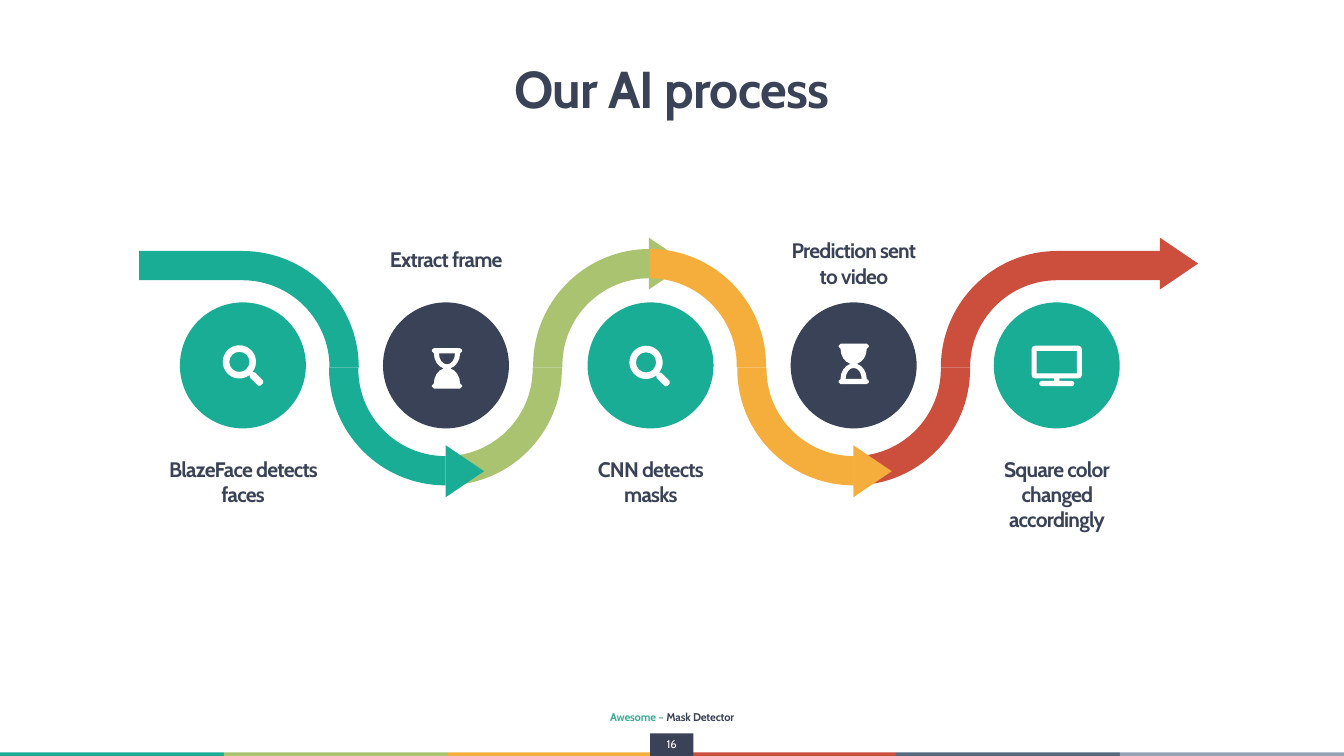
import math

from pptx import Presentation
from pptx import util as u
from pptx.dml.color import RGBColor
from pptx.enum import shapes, text
from pptx.oxml import ns

TEAL = RGBColor(0x1A, 0xAD, 0x96)
FOOTER_TEAL = RGBColor(0x38, 0xAD, 0x96)
GREEN = RGBColor(0xA9, 0xC3, 0x70)
ORANGE = RGBColor(0xF5, 0xAE, 0x3B)
RED = RGBColor(0xCC, 0x4E, 0x3D)
SLATE = RGBColor(0x56, 0x68, 0x7C)
GREY = RGBColor(0x94, 0xA4, 0xB5)
NAVY = RGBColor(0x39, 0x42, 0x56)
WHITE = RGBColor(0xFF, 0xFF, 0xFF)

PX = 9144
WIDTH, HEIGHT = 2667, 1500
OUTER, INNER = 231, 173
MIDDLE = 729
SHAPE = shapes.MSO_SHAPE


def px(*lengths):
    return [u.Emu(round(length * PX)) for length in lengths]


def paint(shape, color):
    shape.shadow.inherit = False
    shape.fill.solid()
    shape.fill.fore_color.rgb = color
    shape.line.fill.background()
    return shape


def add_preset(slide, kind, box, color):
    return paint(slide.shapes.add_shape(kind, *px(*box)), color)


def write(holder, paragraphs, size, color=NAVY, bold=True, spacing=-110,
          inset=8, line_spacing=None):
    frame = holder.text_frame
    frame.word_wrap = True
    frame.auto_size = text.MSO_AUTO_SIZE.NONE
    frame.vertical_anchor = text.MSO_ANCHOR.TOP
    frame.margin_left, frame.margin_top, frame.margin_right, frame.margin_bottom = px(*[inset] * 4)
    for index, runs in enumerate(paragraphs):
        paragraph = frame.add_paragraph() if index else frame.paragraphs[0]
        paragraph.alignment = text.PP_ALIGN.CENTER
        if line_spacing:
            paragraph.line_spacing = line_spacing
        for words, run_color in runs:
            run = paragraph.add_run()
            run.text = words
            run.font.name = "Cabin"
            run.font.size = u.Pt(size)
            run.font.bold = bold
            run.font.color.rgb = run_color or color
            run.font._element.set("spc", str(spacing))


def add_text(slide, box, paragraphs, **style):
    write(slide.shapes.add_textbox(*px(*box)), paragraphs, **style)


def arc(cx, cy, rx, ry, start, end):
    pieces = math.ceil(abs(end - start) / 90)
    turn = math.radians(end - start) / pieces
    pull = 4 / 3 * math.tan(turn / 4)

    def on_arc(angle, offset=0):
        return (cx + rx * (math.cos(angle) - offset * math.sin(angle)),
                cy + ry * (math.sin(angle) + offset * math.cos(angle)))

    angle = math.radians(start)
    points = [on_arc(angle)]
    for _ in range(pieces):
        points += [(*on_arc(angle, pull), True), (*on_arc(angle + turn, -pull), True),
                   on_arc(angle + turn)]
        angle += turn
    return points


def mirrored(right_half):
    return right_half + [(-x, y, *control) for x, y, *control in reversed(right_half)]


def bend_curves(shape, controls):
    lines = list(shape._element.spPr.iter(ns.qn("a:lnTo")))
    index = 0
    while index < len(lines):
        if controls[index]:
            first, *others = lines[index:index + 3]
            first.tag = ns.qn("a:cubicBezTo")
            for other in others:
                first.append(other[0])
                other.getparent().remove(other)
            index += 3
        else:
            index += 1


def add_outline(slide, contours, color, center=(0, 0), flip=1):
    placed = [[px(center[0] + x, center[1] + flip * y) for x, y, *_ in contour]
              for contour in contours]
    builder = slide.shapes.build_freeform(*placed[0][0], scale=1.0)
    for index, contour in enumerate(placed):
        if index:
            builder.move_to(*contour[0])
        builder.add_line_segments(contour[1:], close=True)
    shape = paint(builder.convert_to_shape(), color)
    bend_curves(shape, [len(point) == 3 for contour in contours for point in contour[1:]])


def add_bend(slide, color, cx, cy, side, rise, tail_end=None):
    def curve(radius):
        quarter = [(cx + side * x, cy + rise * y, *control)
                   for x, y, *control in arc(0, 0, radius, radius, 0, 90)]
        return [(cx + side * radius, MIDDLE)] + quarter

    tail = [(tail_end, cy + rise * r) for r in (OUTER, INNER)] if tail_end else []
    add_outline(slide, [curve(OUTER) + tail + curve(INNER)[::-1]], color)


def add_ribbon(slide, color, bends, tip_x, tip_y):
    for bend in bends:
        add_bend(slide, color, *bend)
    head = add_preset(slide, SHAPE.ISOSCELES_TRIANGLE,
                      (tip_x - 90, tip_y - 38, 103, 76), color)
    head.rotation = 90


def add_magnifier(slide, center):
    handle = [(31, 21), (47, 37), (47, 42), (42, 47), (37, 47), (21, 31)]
    add_outline(slide, [arc(0, 0, 33, 33, 52, 398) + handle, arc(0, 0, 20, 20, 0, 360)],
                WHITE, center)


def add_hourglass(slide, center, flip):
    right = ([(26, -40), (30, -36), (30, -34)]
             + arc(0, -30, 26, 31, 0, 75) + arc(0, 30, 26, 31, -75, 0)
             + [(30, 34), (30, 37), (26, 40)])
    add_outline(slide, [mirrored(right), arc(0, 30, 16, 22, 180, 360)], WHITE, center, flip)


def add_monitor(slide, center):
    right = (arc(43, -33, 7, 7, -90, 0) + arc(43, 18, 7, 7, 0, 90)
             + [(5, 25), (5, 30)] + arc(30, 35, 5, 5, -90, 90))
    add_outline(slide, [mirrored(right), mirrored([(40, -30), (40, 15)])], WHITE, center)


def add_step(slide, center, color, label_top, label_height, lines):
    add_preset(slide, SHAPE.OVAL, (center - 125, 600, 250, 250), color)
    add_text(slide, (center - 162, label_top, 325, label_height),
             [[(line, None)] for line in lines], size=30)


def add_footer(slide):
    add_text(slide, (84, 1402, 2500, 32),
             [[("Awesome – ", FOOTER_TEAL), ("Mask Detector", NAVY)]],
             size=16, spacing=-20, inset=0, line_spacing=1.3)
    stripes = [TEAL, GREEN, ORANGE, RED, SLATE, GREY]
    stripe_width = WIDTH / len(stripes)
    for index, color in enumerate(stripes):
        add_preset(slide, SHAPE.RECTANGLE, (index * stripe_width, 1493, stripe_width, 7), color)
    add_preset(slide, SHAPE.RECTANGLE, (1290, 1455, 86, 45), NAVY)
    add_text(slide, (1290, 1455, 86, 43), [[("16", None)]],
             size=16, color=WHITE, bold=False, spacing=-20)


def main():
    deck = Presentation()
    deck.slide_width, deck.slide_height = px(WIDTH, HEIGHT)
    slide = deck.slides.add_slide(deck.slide_layouts[5])

    title = slide.shapes.title
    title.left, title.top, title.width, title.height = px(321, 96, 2024, 125)
    write(title, [[("Our AI process", None)]], size=74, inset=0, line_spacing=1.14)
    add_footer(slide)

    add_ribbon(slide, GREEN, [(1289, 725, -1, -1), (884, 732, 1, 1)], 1364, 523)
    add_ribbon(slide, TEAL, [(884, 732, -1, 1), (481, 729, 1, -1, 276)], 961, 935)
    add_ribbon(slide, RED, [(1694, 732, 1, 1), (2098, 729, -1, -1, 2302)], 2378, 523)
    add_ribbon(slide, ORANGE, [(1289, 725, 1, -1), (1694, 732, -1, 1)], 1770, 935)

    steps = [
        (482, TEAL, 898, 117, ["BlazeFace detects faces"]),
        (885, NAVY, 481, 66, ["Extract frame"]),
        (1291, TEAL, 898, 117, ["CNN detects", "masks"]),
        (1694, NAVY, 464, 117, ["Prediction sent", "to video"]),
        (2097, TEAL, 898, 167, ["Square color", "changed accordingly"]),
    ]
    for step in steps:
        add_step(slide, *step)

    add_magnifier(slide, (475, 718))
    add_hourglass(slide, (887, 731), -1)
    add_magnifier(slide, (1282, 719))
    add_hourglass(slide, (1694, 722), 1)
    add_monitor(slide, (2097, 726))

    deck.save("out.pptx")


if __name__ == "__main__":
    main()
